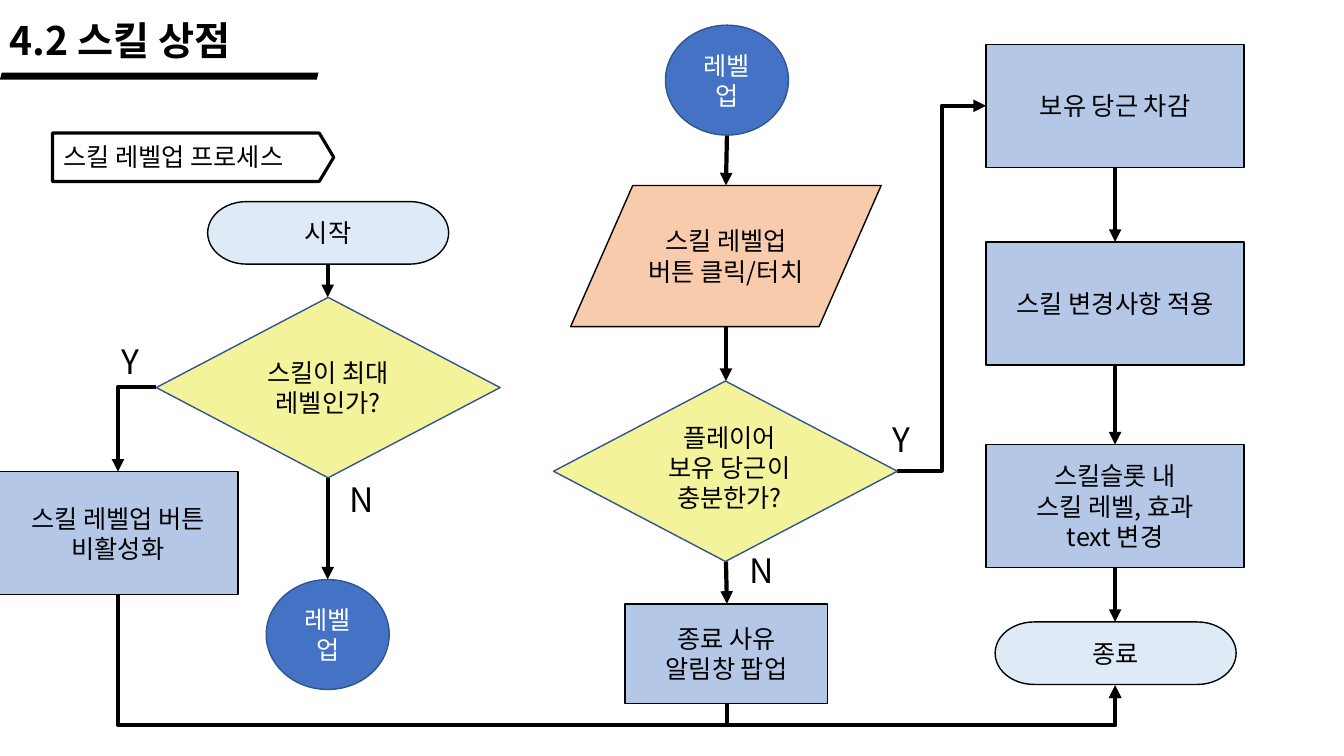
from dataclasses import dataclass
from math import cos, radians, sin
from typing import Optional

from lxml.etree import SubElement
from pptx import Presentation
from pptx.dml.color import RGBColor
from pptx.enum.shapes import MSO_CONNECTOR, MSO_SHAPE
from pptx.enum.text import MSO_ANCHOR, MSO_AUTO_SIZE, PP_ALIGN
from pptx.oxml.ns import qn
from pptx.shapes.autoshape import Shape
from pptx.shapes.connector import Connector
from pptx.slide import Slide
from pptx.text.text import TextFrame
from pptx.util import Inches, Pt

FONT = "Noto Sans CJK KR"
BLACK = RGBColor(0x00, 0x00, 0x00)
WHITE = RGBColor(0xFF, 0xFF, 0xFF)
NAVY = RGBColor(0x32, 0x54, 0x91)
BLUE = RGBColor(0x44, 0x72, 0xC4)
LIGHT_BLUE = RGBColor(0xB4, 0xC7, 0xE7)
PALE_BLUE = RGBColor(0xDE, 0xEB, 0xF7)
YELLOW = RGBColor(0xF3, 0xF3, 0x9B)
PEACH = RGBColor(0xF8, 0xCB, 0xAD)

Point = tuple[float, float]


@dataclass(frozen=True)
class NodeStyle:
    preset: MSO_SHAPE
    width: float
    height: float
    fill: RGBColor
    line: RGBColor = BLACK
    line_width: float = 1
    text_color: RGBColor = BLACK


@dataclass(frozen=True)
class Node:
    style: NodeStyle
    left: float
    top: float
    lines: tuple[str, ...] = ()


@dataclass(frozen=True)
class Label:
    left: float
    top: float
    width: float
    height: float
    lines: tuple[str, ...]
    size: float = 24
    bold: bool = False
    wrap: bool = False
    alignment: PP_ALIGN = PP_ALIGN.LEFT


@dataclass(frozen=True)
class Elbow:
    """A bent arrow; bend is the share of the way at which it turns, None for a single corner."""
    start: Point
    end: Point
    rotation: int
    bend: Optional[float] = None


TERMINATOR = NodeStyle(MSO_SHAPE.FLOWCHART_TERMINATOR, 2.39, 0.62, PALE_BLUE)
PROCESS = NodeStyle(MSO_SHAPE.RECTANGLE, 2.56, 1.22, LIGHT_BLUE)
DISABLE = NodeStyle(MSO_SHAPE.RECTANGLE, 2.38, 1.22, LIGHT_BLUE)
POPUP = NodeStyle(MSO_SHAPE.RECTANGLE, 2.01, 0.99, LIGHT_BLUE)
DECISION = NodeStyle(MSO_SHAPE.FLOWCHART_DECISION, 3.41, 1.79, YELLOW, NAVY)
INPUT = NodeStyle(MSO_SHAPE.FLOWCHART_DATA, 3.08, 1.4, PEACH)
JUMP = NodeStyle(MSO_SHAPE.FLOWCHART_CONNECTOR, 1.22, 1.09, BLUE, NAVY, 1, WHITE)
TITLE_BAR = NodeStyle(MSO_SHAPE.PARALLELOGRAM, 3.16, 0.07, BLACK, line_width=0)
BANNER = NodeStyle(MSO_SHAPE.PENTAGON, 2.79, 0.48, WHITE, line_width=2.25)

LEFT_X, MIDDLE_X, RIGHT_X = 3.25, 7.2, 11.06
DISABLE_X, POPUP_X, RETURN_Y = 1.17, 7.21, 7.19
END_BOTTOM = (RIGHT_X, 6.8)

NODES = [
    Node(TITLE_BAR, 0, 0.72),
    Node(TERMINATOR, 9.87, 6.17, ("종료",)),
    Node(PROCESS, 9.78, 0.44, ("보유 당근 차감",)),
    Node(PROCESS, 9.78, 2.4, ("스킬 변경사항 적용",)),
    Node(PROCESS, 9.78, 4.41, ("스킬슬롯 내", "스킬 레벨, 효과", "text 변경")),
    Node(DECISION, 5.49, 3.78),
    Node(INPUT, 5.66, 1.84, ("스킬 레벨업 버튼 클릭/터치",)),
    Node(JUMP, 6.6, 0.25, ("레벨업",)),
    Node(POPUP, 6.2, 5.99, ("종료 사유", "알림창 팝업")),
    Node(BANNER, 0.52, 1.32),
    Node(TERMINATOR, 2.06, 2, ("시작",)),
    Node(DECISION, 1.55, 2.95, ("스킬이 최대 레벨인가?",)),
    Node(JUMP, 2.64, 5.75, ("레벨업",)),
    Node(DISABLE, -0.02, 4.68, ("스킬 레벨업 버튼 비활성화",)),
]

LABELS = [
    Label(0, 0.11, 3.37, 0.57, ("4.2 스킬 상점",), 28, bold=True, wrap=True),
    Label(0.53, 1.35, 2.65, 0.4, ("스킬 레벨업 프로세스",), 18),
    Label(6.46, 4.14, 1.55, 1.01, ("플레이어", "보유 당근이", "충분한가?"), 18,
          alignment=PP_ALIGN.CENTER),
    Label(7.34, 5.41, 0.46, 0.5, ("N",)),
    Label(8.75, 4.11, 0.39, 0.5, ("Y",)),
    Label(3.37, 4.7, 0.46, 0.5, ("N",)),
    Label(1.11, 3.33, 0.39, 0.5, ("Y",)),
]

STRAIGHT_ARROWS: list[tuple[Point, Point]] = [
    ((POPUP_X, 1.34), (MIDDLE_X, 1.84)),
    ((MIDDLE_X, 3.24), (MIDDLE_X, 3.78)),
    ((MIDDLE_X, 5.57), (POPUP_X, 5.99)),
    ((RIGHT_X, 1.66), (RIGHT_X, 2.4)),
    ((RIGHT_X, 3.62), (RIGHT_X, 4.41)),
    ((RIGHT_X, 5.63), (RIGHT_X, 6.17)),
    ((LEFT_X, 2.62), (LEFT_X, 2.95)),
    ((LEFT_X, 4.73), (LEFT_X, 5.75)),
]


def return_path(start: Point, rotation: int) -> Elbow:
    """Arrow that drops to the bottom lane and rises into the end node."""
    bend = (RETURN_Y - start[1]) / (END_BOTTOM[1] - start[1])
    return Elbow(start, END_BOTTOM, rotation, bend)


ELBOWS = [
    return_path((DISABLE_X, 5.9), 270),
    return_path((POPUP_X, 6.98), 90),
    Elbow((8.9, 4.67), (9.78, 1.05), 0, 0.5),
    Elbow((1.55, 3.84), (DISABLE_X, 4.68), 180),
]


def write_lines(frame: TextFrame, lines: tuple[str, ...], size: float, color: RGBColor,
                alignment: PP_ALIGN, bold: bool = False) -> None:
    for index, line in enumerate(lines):
        paragraph = frame.add_paragraph() if index else frame.paragraphs[0]
        paragraph.alignment = alignment
        run = paragraph.add_run()
        run.text = line
        run.font.size = Pt(size)
        run.font.bold = bold
        run.font.name = FONT
        run.font.color.rgb = color
        SubElement(run.font._element, qn("a:ea"), typeface=FONT)


def draw_node(slide: Slide, node: Node) -> Shape:
    style = node.style
    shape = slide.shapes.add_shape(style.preset, Inches(node.left), Inches(node.top),
                                   Inches(style.width), Inches(style.height))
    shape.shadow.inherit = False
    shape.fill.solid()
    shape.fill.fore_color.rgb = style.fill
    if style.line_width:
        shape.line.color.rgb = style.line
        shape.line.width = Pt(style.line_width)
    else:
        shape.line.fill.background()
    if style is BANNER:
        shape.adjustments[0] = 0.3
    shape.text_frame.word_wrap = True
    shape.text_frame.vertical_anchor = MSO_ANCHOR.MIDDLE
    write_lines(shape.text_frame, node.lines, 18, style.text_color, PP_ALIGN.CENTER)
    return shape


def draw_label(slide: Slide, label: Label) -> None:
    box = slide.shapes.add_textbox(Inches(label.left), Inches(label.top),
                                   Inches(label.width), Inches(label.height))
    box.text_frame.word_wrap = label.wrap
    box.text_frame.auto_size = MSO_AUTO_SIZE.SHAPE_TO_FIT_TEXT
    write_lines(box.text_frame, label.lines, label.size, BLACK, label.alignment, label.bold)


def draw_arrow(slide: Slide, kind: MSO_CONNECTOR, start: Point, end: Point) -> Connector:
    connector = slide.shapes.add_connector(kind, *map(Inches, start + end))
    connector.line.color.rgb = BLACK
    connector.line.width = Pt(3)
    SubElement(connector.line._get_or_add_ln(), qn("a:tailEnd"), type="triangle")
    SubElement(connector._element.spPr, qn("a:effectLst"))
    return connector


def draw_elbow(slide: Slide, elbow: Elbow) -> None:
    """Place the ends as they lie before rotation, then rotate the connector about its centre."""
    center_x = (elbow.start[0] + elbow.end[0]) / 2
    center_y = (elbow.start[1] + elbow.end[1]) / 2
    cosine, sine = cos(radians(elbow.rotation)), sin(radians(elbow.rotation))

    def unrotate(point: Point) -> Point:
        x, y = point[0] - center_x, point[1] - center_y
        return center_x + x * cosine + y * sine, center_y - x * sine + y * cosine

    connector = draw_arrow(slide, MSO_CONNECTOR.ELBOW, unrotate(elbow.start), unrotate(elbow.end))
    properties = connector._element.spPr
    properties.find(qn("a:xfrm")).set("rot", str(elbow.rotation * 60000))
    geometry = properties.find(qn("a:prstGeom"))
    if elbow.bend is None:
        geometry.set("prst", "bentConnector2")
    else:
        SubElement(geometry.find(qn("a:avLst")), qn("a:gd"), name="adj1",
                   fmla=f"val {round(elbow.bend * 100000)}")


def main() -> None:
    presentation = Presentation()
    presentation.slide_width, presentation.slide_height = Inches(13.33), Inches(7.5)
    slide = presentation.slides.add_slide(presentation.slide_layouts[6])
    for elbow in ELBOWS:
        draw_elbow(slide, elbow)
    for start, end in STRAIGHT_ARROWS:
        draw_arrow(slide, MSO_CONNECTOR.STRAIGHT, start, end)
    for node in NODES:
        draw_node(slide, node)
    for label in LABELS:
        draw_label(slide, label)
    presentation.save("out.pptx")


if __name__ == "__main__":
    main()
